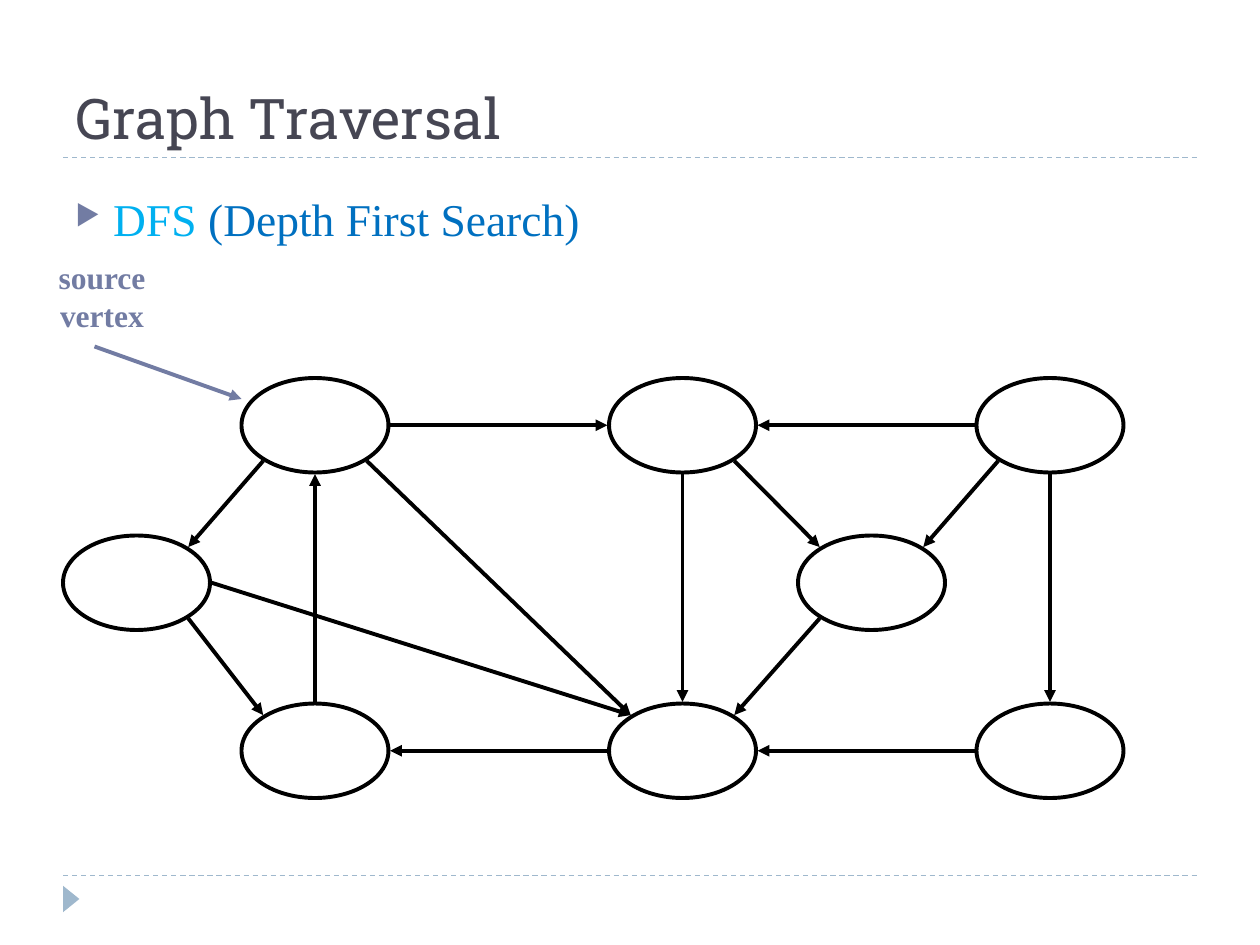
from lxml import etree
from pptx import Presentation
from pptx.dml.color import RGBColor
from pptx.enum.dml import MSO_LINE
from pptx.enum.shapes import MSO_CONNECTOR, MSO_SHAPE
from pptx.enum.text import MSO_ANCHOR, PP_ALIGN
from pptx.oxml.ns import qn
from pptx.util import Inches, Pt

STRAIGHT = MSO_CONNECTOR.STRAIGHT
OVAL, TRIANGLE = MSO_SHAPE.OVAL, MSO_SHAPE.ISOSCELES_TRIANGLE
DASH, BOTTOM = MSO_LINE.DASH, MSO_ANCHOR.BOTTOM
LEFT, CENTER = PP_ALIGN.LEFT, PP_ALIGN.CENTER

BLACK = RGBColor(0x00, 0x00, 0x00)
SLATE = RGBColor(0x46, 0x46, 0x53)
PALE = RGBColor(0x9F, 0xB8, 0xCD)
VIOLET = RGBColor(0x72, 0x7C, 0xA3)
SKY = RGBColor(0x00, 0xB0, 0xF0)
BLUE = RGBColor(0x00, 0x70, 0xC0)

SERIF = "Times New Roman"
WIDTH, HEIGHT = 10, 7.5
MARGIN = 0.05 * WIDTH

UNIT = 1 / 12
NODE_COLS, NODE_ROWS = 14, 9
GAP = 0.15
DIAG_X, DIAG_Y = 0.69, 0.73
NODES = {
    "top_left": (24, 4.5), "top_mid": (59, 4.5), "top_right": (94, 4.5),
    "left": (7, 19.5), "right": (77, 19.5),
    "low_left": (24, 35.5), "low_mid": (59, 35.5), "low_right": (94, 35.5),
}
SITES = {
    "n": (0, -1), "s": (0, 1), "w": (-1, 0), "e": (1, 0),
    "nw": (-DIAG_X, -DIAG_Y), "ne": (DIAG_X, -DIAG_Y),
    "sw": (-DIAG_X, DIAG_Y), "se": (DIAG_X, DIAG_Y),
}
EDGES = [
    ("top_left", "sw", "left", "ne"),
    ("left", "se", "low_left", "nw"),
    ("left", "e", "low_mid", "nw"),
    ("low_mid", "w", "low_left", "e"),
    ("low_left", "n", "top_left", "s"),
    ("top_left", "se", "low_mid", "nw"),
    ("top_mid", "s", "low_mid", "n"),
    ("top_left", "e", "top_mid", "w"),
    ("top_right", "w", "top_mid", "e"),
    ("top_mid", "se", "right", "nw"),
    ("top_right", "sw", "right", "ne"),
    ("top_right", "s", "low_right", "n"),
    ("low_right", "w", "low_mid", "e"),
    ("right", "sw", "low_mid", "ne"),
]


def add_run(p, text, color, **font):
    r = p.add_run()
    r.text = text
    r.font.color.rgb = color
    for name, value in font.items():
        setattr(r.font, name, value)


def add_line(s, start, end, color, width, dash=None, arrow=False):
    line = s.shapes.add_connector(STRAIGHT, *map(Inches, start + end))
    line.line.color.rgb = color
    line.line.width = Pt(width)
    if dash:
        line.line.dash_style = dash
    if arrow:
        ln = line.line._get_or_add_ln()
        etree.SubElement(ln, qn("a:tailEnd"), type="triangle")
    etree.SubElement(line._element.spPr, qn("a:effectLst"))


def add_frame(s, x, y, w, h):
    for row in (y, y + h):
        add_line(s, (x, row), (x + w, row), PALE, 0.75, dash=DASH)
    mark_w, mark_h = 0.21, 0.13
    sp = s.shapes.add_shape(TRIANGLE, Inches(x + (mark_h - mark_w) / 2),
                            Inches(y + h + 0.12), Inches(mark_w), Inches(mark_h))
    sp.rotation = 90
    sp.shadow.inherit = False
    sp.fill.solid()
    sp.fill.fore_color.rgb = PALE
    sp.line.fill.background()


def add_title(s, x, y, w, h):
    sp = s.shapes.title
    sp.left, sp.top, sp.width, sp.height = map(Inches, (x, y, w, h))
    tf = sp.text_frame
    tf.vertical_anchor = BOTTOM
    p = tf.paragraphs[0]
    p.alignment = LEFT
    add_run(p, "Graph Traversal", SLATE, size=Pt(32), name="Roboto Slab", bold=False)


def add_topic(s, x, y, w, h):
    sp = s.shapes.add_textbox(*map(Inches, (x, y, w, h)))
    tf = sp.text_frame
    tf.word_wrap = True
    p = tf.paragraphs[0]
    indent = Inches(0.3)
    pPr = p._p.get_or_add_pPr()
    pPr.set("marL", str(indent))
    pPr.set("indent", str(-indent))
    color = etree.SubElement(pPr, qn("a:buClr"))
    etree.SubElement(color, qn("a:srgbClr"), val=str(VIOLET))
    etree.SubElement(pPr, qn("a:buSzPct"), val="62000")
    etree.SubElement(pPr, qn("a:buChar"), char="▶")
    for text, tint in (("DFS ", SKY), ("(Depth First Search)", BLUE)):
        add_run(p, text, tint, size=Pt(26), name=SERIF)


def add_source_label(s, x, y, w, h):
    sp = s.shapes.add_textbox(*map(Inches, (x, y, w, h)))
    tf = sp.text_frame
    tf.word_wrap = False
    p = tf.paragraphs[0]
    p.alignment = CENTER
    font = {"size": Pt(18), "name": SERIF, "bold": True}
    add_run(p, "source", VIOLET, **font)
    p.add_line_break()
    add_run(p, "vertex", VIOLET, **font)


def add_graph(s, x, y):
    def place(col, row):
        return x + col * UNIT, y + row * UNIT

    def site(node, side):
        (col, row), (dx, dy) = NODES[node], SITES[side]
        return place(col + dx * (NODE_COLS / 2 + GAP),
                     row + dy * (NODE_ROWS / 2 + GAP))

    for col, row in NODES.values():
        corner = place(col - NODE_COLS / 2, row - NODE_ROWS / 2)
        size = NODE_COLS * UNIT, NODE_ROWS * UNIT
        sp = s.shapes.add_shape(OVAL, *map(Inches, corner + size))
        sp.shadow.inherit = False
        sp.fill.background()
        sp.line.color.rgb = BLACK
        sp.line.width = Pt(2.25)
    for tail, tail_side, head, head_side in EDGES:
        add_line(s, site(tail, tail_side), site(head, head_side),
                 BLACK, 2.25, arrow=True)
    add_line(s, place(3, -3), place(17, 2), VIOLET, 2.25, arrow=True)


def main():
    prs = Presentation()
    prs.slide_width, prs.slide_height = Inches(WIDTH), Inches(HEIGHT)
    s = prs.slides.add_slide(prs.slide_layouts[5])
    inner = WIDTH - 2 * MARGIN
    add_frame(s, MARGIN, 1.25, inner, 5.7)
    add_title(s, MARGIN, 0.17, inner, 1.08)
    add_topic(s, MARGIN, 1.47, inner, 0.52)
    add_graph(s, MARGIN, 0.4 * HEIGHT)
    add_source_label(s, 0.33, 2, 0.96, 0.77)
    prs.save("out.pptx")


if __name__ == "__main__":
    main()
